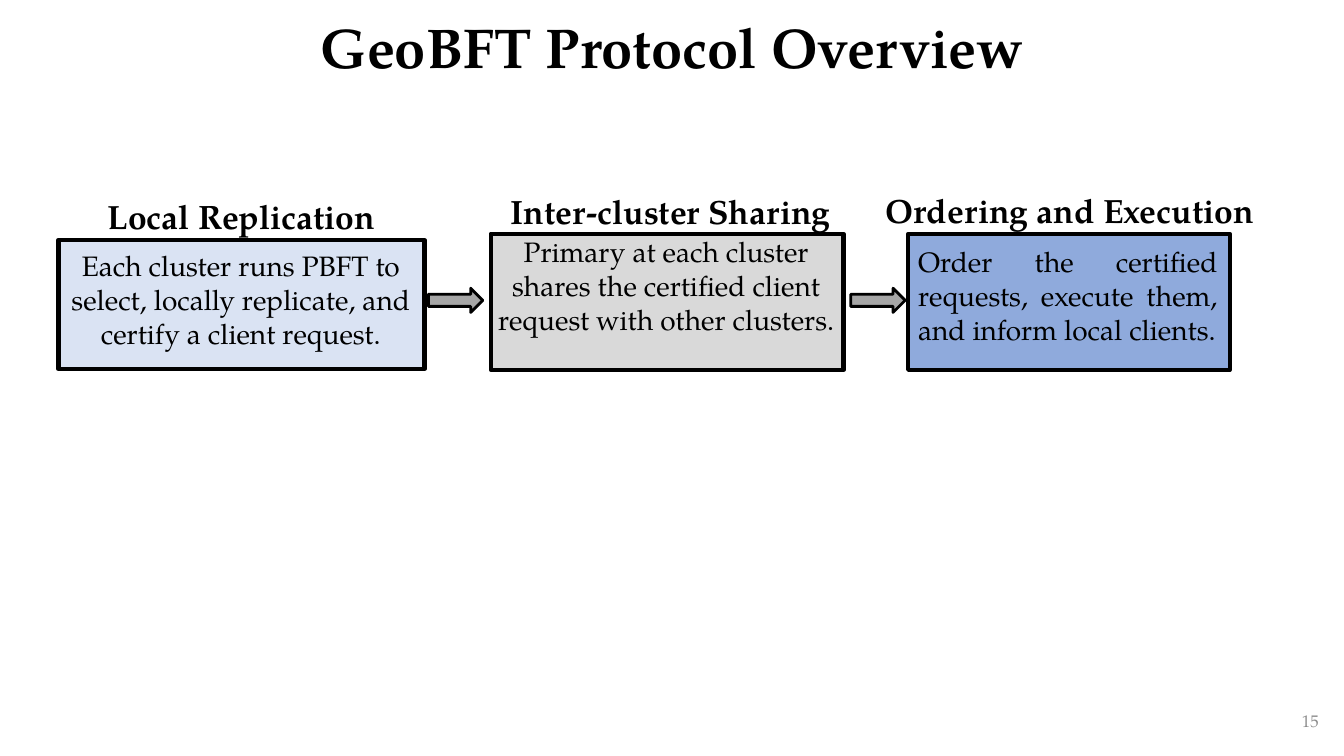
from pptx import Presentation
from pptx.dml.color import RGBColor
from pptx.enum.shapes import MSO_SHAPE
from pptx.enum.text import MSO_ANCHOR, PP_ALIGN
from pptx.util import Pt

BLACK = RGBColor(0x00, 0x00, 0x00)
GREY = RGBColor(0x8C, 0x8C, 0x8C)
STEEL = RGBColor(0xA6, 0xA6, 0xA6)
PALE = RGBColor(0xDA, 0xE3, 0xF3)
SILVER = RGBColor(0xD9, 0xD9, 0xD9)
BLUE = RGBColor(0x8F, 0xAA, 0xDC)

LEFT, MID, RIGHT, FULL = PP_ALIGN.LEFT, PP_ALIGN.CENTER, PP_ALIGN.RIGHT, PP_ALIGN.JUSTIFY

STEPS = [
    ("Local Replication", (69.8, 136.1, 208.8, 36),
     PALE, (41.8, 171.4, 261.4, 92.2),
     "Each cluster runs PBFT to select, locally replicate, and certify a client request.",
     (42.5, 174.2, 259.2, 80), MID),
    ("Inter-cluster Sharing", (357.8, 132.5, 244.1, 36),
     SILVER, (350.6, 167, 252, 97.2),
     "Primary at each cluster shares the certified client request with other clusters.",
     (346.3, 164.2, 259.2, 80), MID),
    ("Ordering and Execution", (625.7, 131.8, 279.4, 36),
     BLUE, (648.7, 167, 229.7, 97.2),
     "Order the certified requests, execute them, and inform local clients.",
     (648.7, 171.4, 228.2, 80), FULL),
]


class Deck:
    """Draws styled elements on the current slide."""

    font = "TeX Gyre Pagella"

    def __init__(self, wide, high):
        self.show = Presentation()
        self.show.slide_width = Pt(wide)
        self.show.slide_height = Pt(high)
        self.slide = self.show.slides.add_slide(self.show.slide_layouts[6])

    def text(self, words, area, size, align=LEFT, bold=False, color=BLACK,
             anchor=MSO_ANCHOR.TOP, wrap=True, pitch=None):
        frame = self.slide.shapes.add_textbox(*map(Pt, area)).text_frame
        frame.word_wrap = wrap
        frame.vertical_anchor = anchor
        para = frame.paragraphs[0]
        para.alignment = align
        para.line_spacing = pitch
        run = para.add_run()
        run.text = words
        run.font.name = self.font
        run.font.size = Pt(size)
        run.font.bold = bold
        run.font.color.rgb = color

    def shape(self, kind, area, fill, line):
        form = self.slide.shapes.add_shape(kind, *map(Pt, area))
        form.shadow.inherit = False
        form.fill.solid()
        form.fill.fore_color.rgb = fill
        form.line.color.rgb = BLACK
        form.line.width = Pt(line)

    def box(self, area, fill):
        self.shape(MSO_SHAPE.RECTANGLE, area, fill, 3)

    def arrow(self, left):
        self.shape(MSO_SHAPE.RIGHT_ARROW, (left, 205.9, 38.9, 17.3), STEEL, 2)

    def save(self):
        self.show.save("out.pptx")


def main():
    deck = Deck(960, 540)
    deck.text("GeoBFT Protocol Overview", (66, 0, 828, 71.3), 40, MID, bold=True,
              anchor=MSO_ANCHOR.MIDDLE, pitch=0.9)
    for head, top, fill, area, body, inner, align in STEPS:
        deck.box(area, fill)
        deck.text(head, top, 24, bold=True, wrap=False)
        deck.text(body, inner, 20, align)
    for left in (306, 607.7):
        deck.arrow(left)
    deck.text("15", (733, 500.4, 216, 28.8), 12, RIGHT, color=GREY,
              anchor=MSO_ANCHOR.MIDDLE)
    deck.save()


if __name__ == "__main__":
    main()
